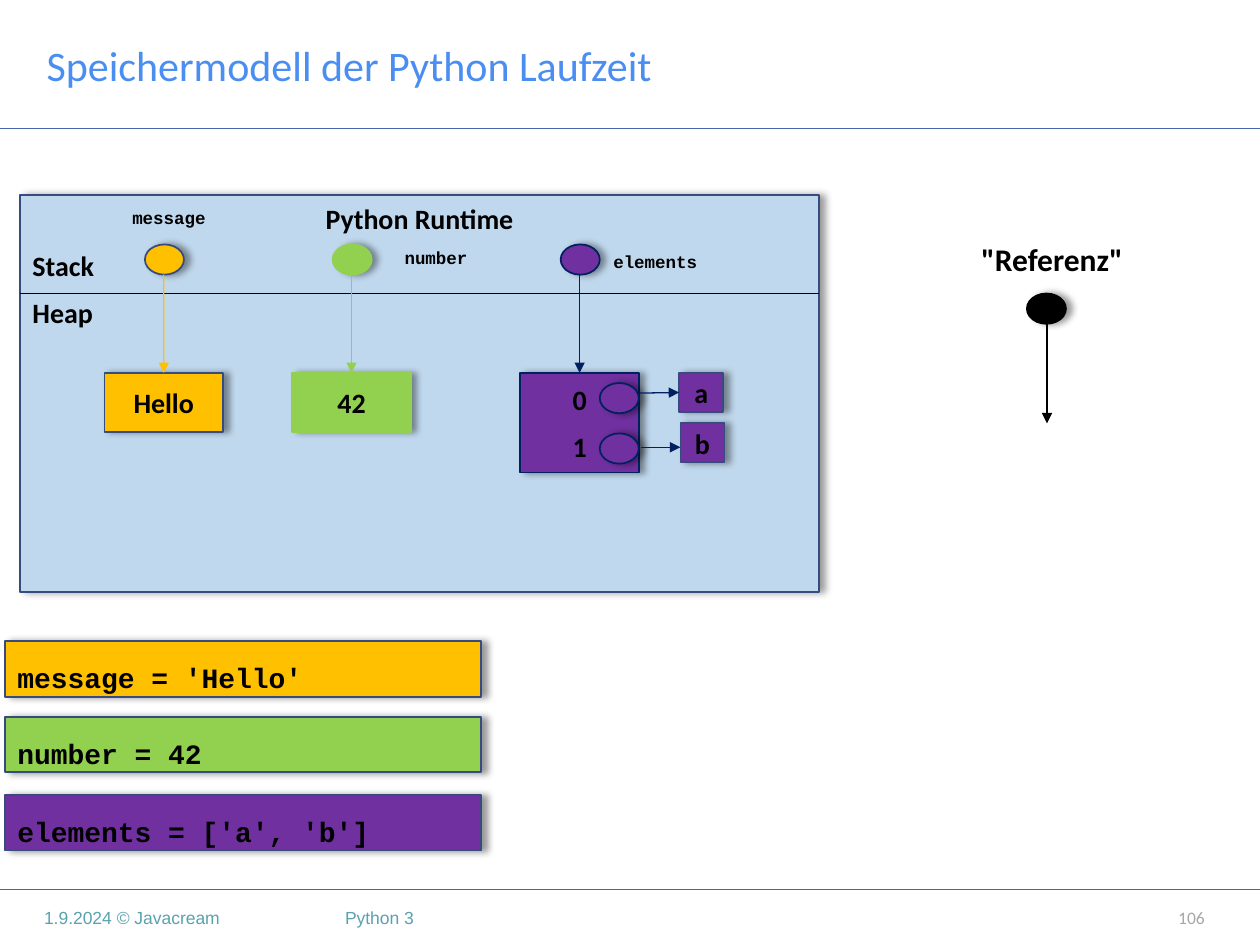
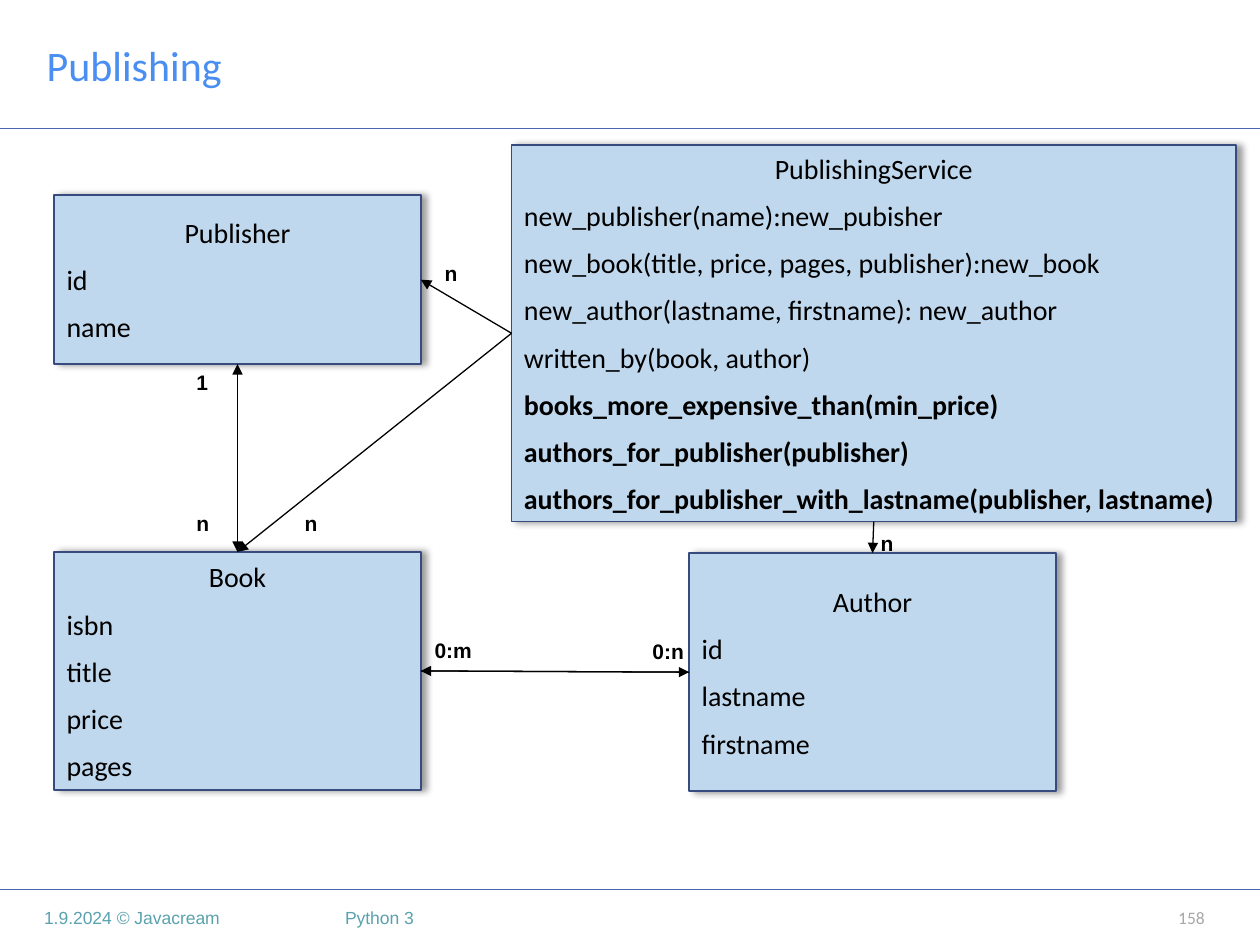
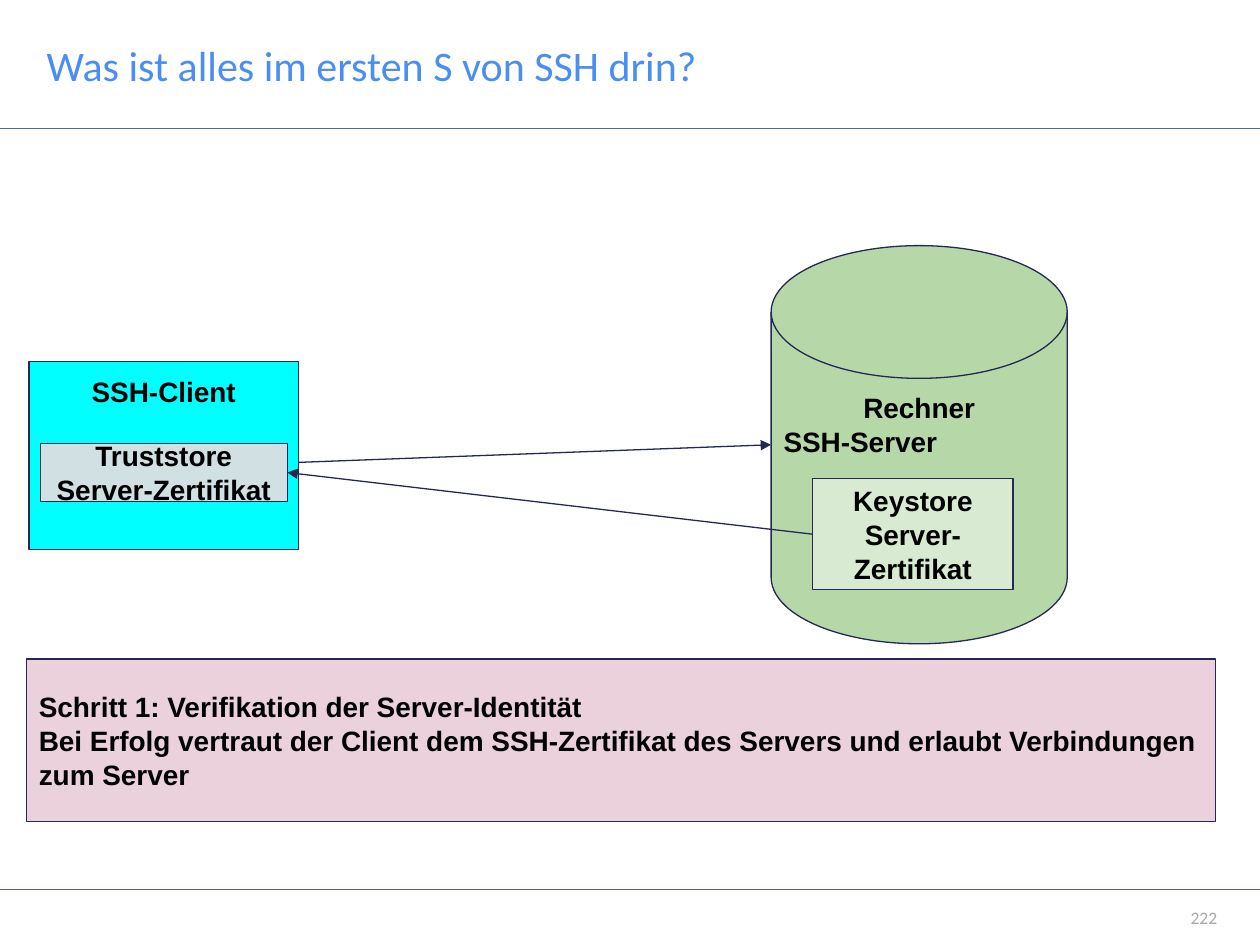
import lxml.etree
import pptx
import pptx.dml.color
import pptx.enum.shapes
import pptx.enum.text
import pptx.oxml.ns
import pptx.util

inch = pptx.util.Inches
tag = pptx.oxml.ns.qn
form = pptx.enum.shapes.MSO_SHAPE
side = pptx.enum.text.PP_ALIGN
hold = pptx.enum.text.MSO_ANCHOR
top, left, low, right = range(4)

theme = {
    "hue": {
        "title": "4A8EF2", "rule": "4A66AC", "foot": "5AA2AE", "page": "A7A7A7",
        "text": "000000", "pale": "C0D8ED", "edge": "374B7F", "navy": "002060",
        "gold": "FFC000", "green": "92D050", "plum": "7030A0", "ink": "242852",
        "disk": "B6D7A8", "mint": "D9EAD3", "cyan": "00FFFF", "mist": "D0E0E3",
        "rose": "EAD1DC",
    },
    "font": {
        "title": ("Calibri", 24, "title"), "foot": ("Arial", 10, "foot"),
        "page": ("Calibri", 10, "page"), "body": ("Calibri", 16, "text"),
        "big": ("Calibri", 18, "text"), "code": ("Courier New", 16, "text"),
        "name": ("Courier New", 10, "text"), "mark": ("Arial", 12, "text"),
        "plain": ("Arial", 16, "text"),
    },
    "line": {"thin": 0.75, "wide": 1},
    "gap": 7.7,
}


def tone(name):
    return pptx.dml.color.RGBColor.from_string(theme["hue"][name])


def box(page, kind, at, lines=(), font="body", fill=None, edge="edge", width="wide",
        glow=True, heads=0, rest=side.LEFT, heavy=0, gap=0, pad=(0.1, 0.05),
        anchor=hold.MIDDLE, **extra):
    spot = [inch(n) for n in at]
    if kind == "title":
        item = page.shapes.title
        item.left, item.top, item.width, item.height = spot
    elif kind == "text":
        item = page.shapes.add_textbox(*spot)
    else:
        item = page.shapes.add_shape(kind, *spot)
        item.fill.solid()
        item.fill.fore_color.rgb = tone(fill)
        item.line.color.rgb = tone(edge)
        item.line.width = pptx.util.Pt(theme["line"][width])
        item.shadow.inherit = False
        if glow:
            list_ = item._element.spPr.find(tag("a:effectLst"))
            cast = lxml.etree.SubElement(list_, tag("a:outerShdw"), blurRad="50800",
                                         dist="38100", dir="0", algn="l", rotWithShape="0")
            shade = lxml.etree.SubElement(cast, tag("a:srgbClr"), val="000000")
            lxml.etree.SubElement(shade, tag("a:alpha"), val="40000")
    frame = item.text_frame
    look = {"word_wrap": True, "auto_size": pptx.enum.text.MSO_AUTO_SIZE.NONE,
            "vertical_anchor": anchor,
            "margin_left": inch(pad[0]), "margin_right": inch(pad[0]),
            "margin_top": inch(pad[1]), "margin_bottom": inch(pad[1]), **extra}
    for key, value in look.items():
        setattr(frame, key, value)
    face, size, hue = theme["font"][font]
    for i, line in enumerate(lines):
        para = frame.paragraphs[0] if i == 0 else frame.add_paragraph()
        para.text = line
        para.alignment = side.CENTER if i < heads else rest
        para.space_before = pptx.util.Pt(gap if i else 0)
        style = {"name": face, "size": pptx.util.Pt(size), "bold": i >= heavy}
        for key, value in style.items():
            setattr(para.font, key, value)
        para.font.color.rgb = tone(hue)
    return item


def link(page, ends, hue="text", width="thin", tip=True, start=None, stop=None):
    wire = page.shapes.add_connector(pptx.enum.shapes.MSO_CONNECTOR.STRAIGHT,
                                     *[inch(n) for n in ends])
    if start:
        wire.begin_connect(*start)
    if stop:
        wire.end_connect(*stop)
    wire.line.color.rgb = tone(hue)
    wire.line.width = pptx.util.Pt(theme["line"][width])
    prop = wire._element.spPr
    if tip:
        lxml.etree.SubElement(prop.find(tag("a:ln")), tag("a:tailEnd"), type="triangle")
    lxml.etree.SubElement(prop, tag("a:effectLst"))
    return wire


deck = pptx.Presentation()
deck.slide_width, deck.slide_height = inch(10), inch(7.5)

pages = []
for title, count, foot, pad in (
    ("Speichermodell der Python Laufzeit", "106", True, (0.1, 0.04)),
    ("Publishing", "158", True, (0.1, 0.04)),
    ("Was ist alles im ersten S von SSH drin?", "222", False, (0, 0)),
):
    page = deck.slides.add_slide(deck.slide_layouts[5])
    for y in (7.06, 1.02):
        link(page, (0, y, 10, y), "rule", "wide", tip=False)
    box(page, "title", (0.27, 0, 6.22, 1.02), [title], "title", heavy=1)
    if foot:
        box(page, "text", (0.35, 7.06, 2.2, 0.44), ["1.9.2024 © Javacream"], "foot",
            heavy=1, pad=(0, 0))
        box(page, "text", (2.64, 7.06, 5.91, 0.44), ["Python 3"], "foot",
            heavy=1, pad=(0.1, 0.04))
    box(page, "text", (8.75, 7.06, 0.91, 0.44), [count], "page",
        rest=side.RIGHT, heavy=1, pad=pad)
    pages.append(page)
model, press, safe = pages

area = box(model, form.RECTANGLE, (0.16, 1.55, 6.34, 3.15),
           ["Python Runtime", "Stack", "Heap"], fill="pale", heads=1,
           gap=theme["gap"], anchor=hold.TOP)
split = link(model, (0.16, 2.33, 6.5, 2.33), tip=False)
model.shapes.add_group_shape([area, split])

for code, y, x, fill, edge, wire, high, lines, name, spot in (
    ("message = 'Hello'", 5.09, 0.83, "gold", "edge", "gold", 0.47,
     ["Hello"], "message", (0.75, 1.59)),
    ("number = 42", 5.69, 2.32, "green", "green", "green", 0.47,
     ["42"], "number", (2.87, 1.91)),
    ("elements = ['a', 'b']", 6.31, 4.13, "plum", "navy", "navy", 0.79,
     ["0", "1"], "elements", (4.61, 1.94)),
):
    box(model, form.RECTANGLE, (0.04, y, 3.78, 0.44), [code], "code", fill,
        anchor=hold.BOTTOM, margin_bottom=inch(0.02))
    box(model, form.OVAL, (x + 0.32, 1.94, 0.31, 0.24), fill=fill, edge=edge)
    value = box(model, form.RECTANGLE, (x, 2.96, 0.94, high), lines, fill=fill,
                edge=edge, heads=2, gap=theme["gap"])
    link(model, (x + 0.47, 2.18, x + 0.47, 2.96), wire, stop=(value, top))
    box(model, "text", (*spot, 1.18, 0.27), [name], "name", heads=1, anchor=hold.TOP)

for name, x, y, dot, mid in (("a", 5.39, 2.96, 3.04, 3.12), ("b", 5.4, 3.36, 3.44, 3.55)):
    box(model, form.OVAL, (4.76, dot, 0.31, 0.24), fill="plum", edge="navy")
    cell = box(model, form.RECTANGLE, (x, y, 0.35, 0.31), [name], fill="plum", heads=1)
    link(model, (x - 0.31, mid, x, mid), "navy", stop=(cell, left) if name == "a" else None)

dot = box(model, form.OVAL, (8.15, 2.33, 0.31, 0.24), fill="text", edge="text")
arrow = link(model, (8.31, 2.57, 8.31, 3.36))
model.shapes.add_group_shape([dot, arrow])
box(model, "text", (7.68, 1.86, 1.34, 0.4), ['"Referenz"'], "big", heads=1, anchor=hold.TOP)

cards = {}
for at, heavy, lines in (
    ((0.43, 1.55, 2.91, 1.34), 9, ["Publisher", "id", "name"]),
    ((0.43, 4.38, 2.91, 1.89), 9, ["Book", "isbn", "title", "price", "pages"]),
    ((5.47, 4.39, 2.91, 1.89), 9, ["Author", "id", "lastname", "firstname"]),
    ((4.06, 1.15, 5.75, 2.99), 5, [
        "PublishingService",
        "new_publisher(name):new_pubisher",
        "new_book(title, price, pages, publisher):new_book",
        "new_author(lastname, firstname): new_author",
        "written_by(book, author)",
        "books_more_expensive_than(min_price)",
        "authors_for_publisher(publisher)",
        "authors_for_publisher_with_lastname(publisher, lastname)",
    ]),
):
    cards[lines[0]] = box(press, form.RECTANGLE, at, lines, fill="pale", heads=1,
                          heavy=heavy, gap=theme["gap"])

for a, out, b, into in (
    ("Book", top, "Publisher", low),
    ("Publisher", low, "Book", top),
    ("Book", right, "Author", left),
    ("Author", left, "Book", right),
    ("PublishingService", left, "Publisher", right),
    ("PublishingService", left, "Book", top),
    ("PublishingService", low, "Author", top),
):
    link(press, (0, 0, 0, 0), start=(cards[a], out), stop=(cards[b], into))

for mark, x, y, wide in (
    ("1", 1.46, 2.88, 0.31), ("n", 1.46, 4, 0.31), ("0:n", 5.08, 5.02, 0.63),
    ("0:m", 3.35, 5.01, 0.71), ("n", 3.43, 2.02, 0.31), ("n", 2.32, 4, 0.31),
    ("n", 6.89, 4.16, 0.31),
):
    box(press, "text", (x, y, wide, 0.3), [mark], "mark", anchor=hold.TOP)

parts = {}
for kind, at, lines, fill, heads, anchor in (
    (form.FLOWCHART_MAGNETIC_DISK, (6.12, 1.95, 2.35, 3.16),
     ["Rechner", "SSH-Server"], "disk", 1, hold.TOP),
    (form.RECTANGLE, (6.45, 3.8, 1.59, 0.88),
     ["Keystore", "Server-Zertifikat"], "mint", 2, hold.MIDDLE),
    (form.RECTANGLE, (0.23, 2.87, 2.14, 1.49), ["SSH-Client"], "cyan", 1, hold.TOP),
    (form.RECTANGLE, (0.32, 3.52, 1.96, 0.46),
     ["Truststore", "Server-Zertifikat"], "mist", 2, hold.MIDDLE),
    (form.RECTANGLE, (0.21, 5.23, 9.44, 1.29),
     ["Schritt 1: Verifikation der Server-Identität",
      "Bei Erfolg vertraut der Client dem SSH-Zertifikat des Servers und erlaubt "
      "Verbindungen zum Server"], "rose", 0, hold.MIDDLE),
):
    parts[lines[0]] = box(safe, kind, at, lines, "plain", fill, "ink", "thin",
                          glow=False, heads=heads, pad=(0.1, 0.1), anchor=anchor)

link(safe, (2.37, 3.67, 6.12, 3.53), "ink")
link(safe, (6.45, 4.24, 2.28, 3.75), "ink",
     start=(parts["Keystore"], left), stop=(parts["Truststore"], right))

deck.save("out.pptx")
